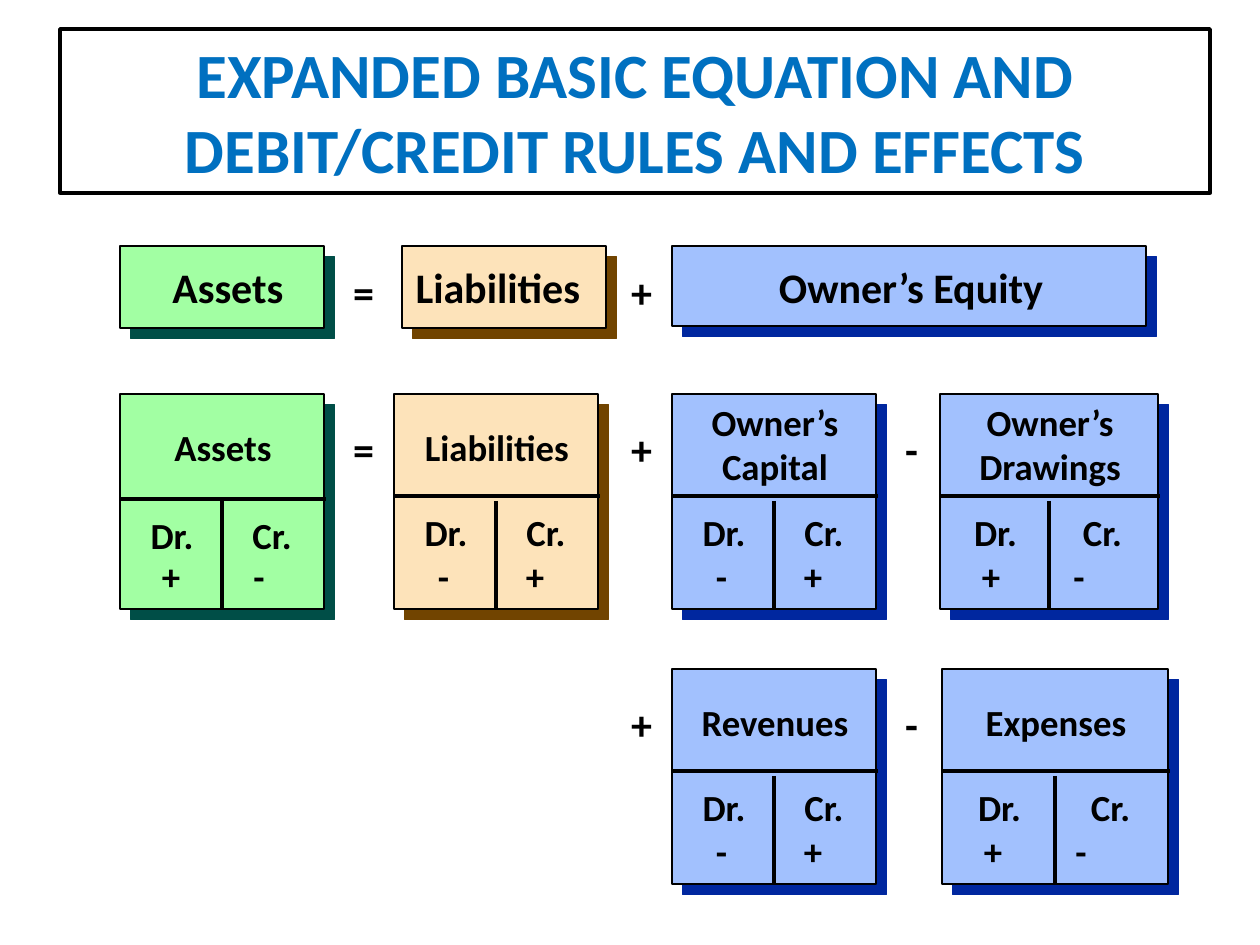
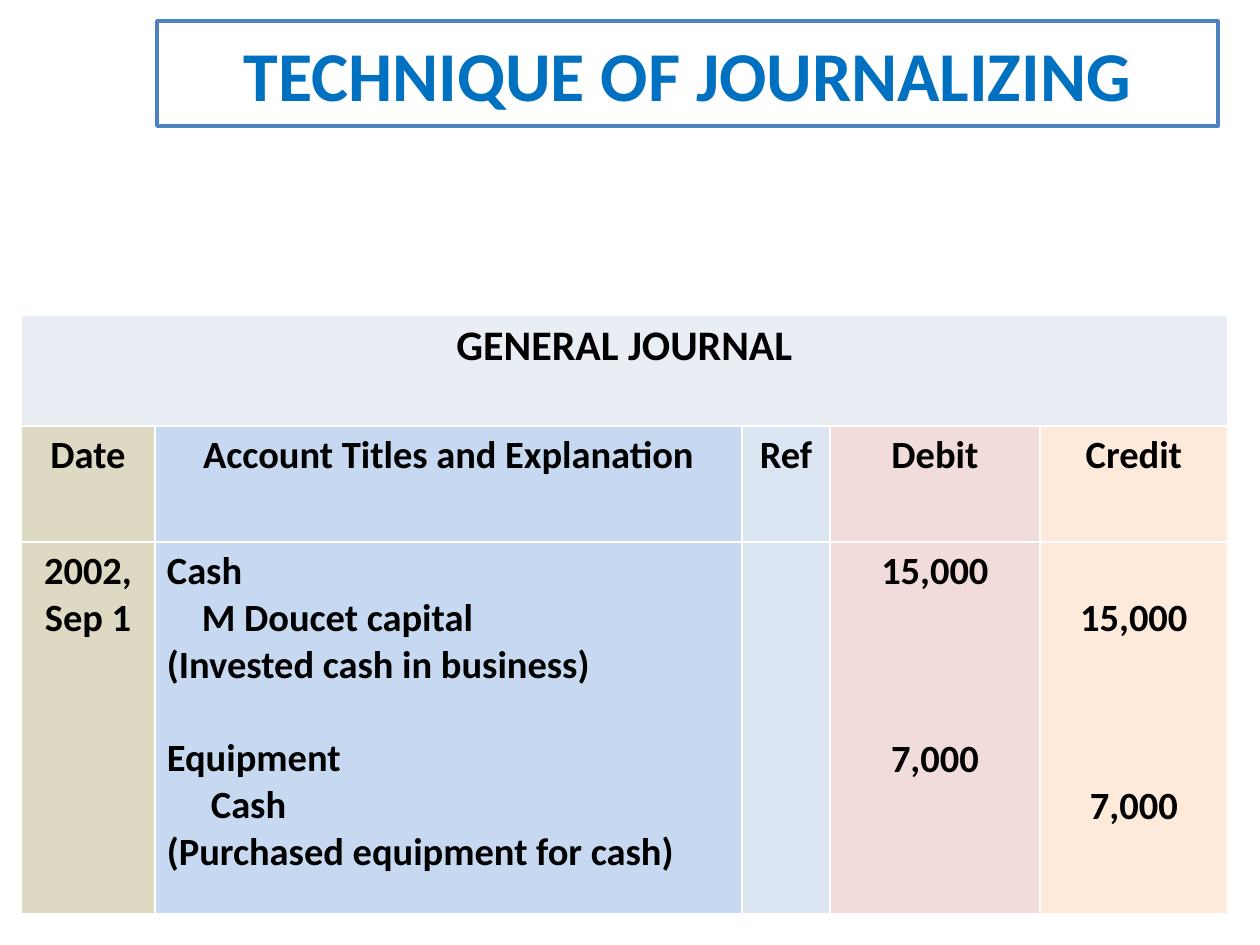
from lxml.etree import SubElement
from pptx import Presentation
from pptx.dml.color import RGBColor
from pptx.enum.shapes import MSO_CONNECTOR, MSO_SHAPE
from pptx.enum.text import MSO_ANCHOR, PP_ALIGN
from pptx.oxml.ns import qn
from pptx.util import Emu, Pt

SCALE = 914400 / 126
FONT = "Calibri"
LINE = 47  # height of one journal line
COLORS = {
    "ink": "000000", "paper": "FFFFFF", "title": "0070C0", "frame": "4F81BD",
    "green": "A2FFA3", "green_dark": "004E47",
    "sand": "FDE3BA", "sand_dark": "714400",
    "blue": "A2C1FE", "blue_dark": "00279F",
    "head": "E9EDF4", "date": "DDD9C3", "entry": "C6D9F1",
    "ref": "DCE6F2", "debit": "F2DCDB", "credit": "FDEADA",
}


def px(n):
    return Emu(round(n * SCALE))


def rgb(name):
    return RGBColor.from_string(COLORS[name])


def add_run(para, text, size, color="ink", align=PP_ALIGN.CENTER):
    para.alignment = align
    run = para.add_run()
    run.text = text
    font = run.font
    font.name, font.size, font.bold = FONT, Pt(size), True
    font.color.rgb = rgb(color)


def set_frame(frame, anchor=MSO_ANCHOR.TOP):
    frame.word_wrap = True
    frame.vertical_anchor = anchor
    frame.margin_left = frame.margin_right = px(12)
    frame.margin_top = frame.margin_bottom = px(6)


def add_label(slide, box, text, size):
    frame = slide.shapes.add_textbox(*map(px, box)).text_frame
    set_frame(frame)
    add_run(frame.paragraphs[0], text, size)


def add_panel(slide, box, fill, line="ink", width=1, shade=None):
    shape = slide.shapes.add_shape(MSO_SHAPE.RECTANGLE, *map(px, box))
    shape.fill.solid()
    shape.fill.fore_color.rgb = rgb(fill)
    shape.line.color.rgb = rgb(line)
    shape.line.width = Pt(width)
    shape.shadow.inherit = False
    if shade:
        effects = shape._element.spPr.find(qn("a:effectLst"))
        cast = SubElement(effects, qn("a:outerShdw"), dist=str(Pt(8.5)),
                          dir="2700000", algn="ctr", rotWithShape="0")
        SubElement(cast, qn("a:srgbClr"), val=COLORS[shade])
    return shape


def add_rule(slide, x1, y1, x2, y2):
    rule = slide.shapes.add_connector(MSO_CONNECTOR.STRAIGHT,
                                      *map(px, (x1, y1, x2, y2)))
    rule.line.color.rgb = rgb("ink")
    rule.line.width = Pt(2)
    SubElement(rule._element.spPr, qn("a:effectLst"))


def add_title(slide, box, text, size, line):
    frame = add_panel(slide, box, "paper", line, 2).text_frame
    set_frame(frame, MSO_ANCHOR.MIDDLE)
    add_run(frame.paragraphs[0], text, size, "title")


def add_term(slide, box, name, hue, shift):
    """One term of the short equation."""
    x, y, w, h = box
    add_panel(slide, box, hue, shade=hue + "_dark")
    add_label(slide, (x + shift, y + 10, w, 63), name, 24)


def add_signs(slide, x, y, signs):
    """Debit and credit signs, the second centred on a tab stop."""
    box = slide.shapes.add_textbox(*map(px, (x, y, 150, 57)))
    set_frame(box.text_frame)
    para = box.text_frame.paragraphs[0]
    tabs = SubElement(para._p.get_or_add_pPr(), qn("a:tabLst"))
    SubElement(tabs, qn("a:tab"), pos=str(px(97)), algn="ctr")
    add_run(para, "\t".join(signs), 21, align=PP_ALIGN.LEFT)


def add_account(slide, box, name, hue, signs, drop=0):
    """A T-account: name above, debit and credit sides below."""
    x, y, w, h = box
    half = w // 2
    add_panel(slide, box, hue, shade=hue + "_dark")
    lift = 0 if " " in name else 25
    add_label(slide, (x + 1, y + lift, w, 103 - lift), name, 21)
    bar = y + 102 + drop
    add_rule(slide, x + 1, bar, x + w + 2, bar)
    add_rule(slide, x + half, y + 107, x + half, y + h - 1)
    for left, side in ((5, "Dr."), (half + 3, "Cr.")):
        add_label(slide, (x + left, bar + 8, half - 8, 57), side, 21)
    add_signs(slide, x + (32 if signs[0] == "-" else 30), y + 154, signs)


def add_equation(slide):
    add_title(slide, (60, 29, 1150, 164),
              "EXPANDED BASIC EQUATION AND DEBIT/CREDIT RULES AND EFFECTS",
              36, "ink")
    # Short equation
    for x, w, h, name, hue, shift in (
            (120, 204, 82, "Assets", "green", 6),
            (402, 204, 82, "Liabilities", "sand", -6),
            (672, 474, 80, "Owner’s Equity", "blue", 2)):
        add_term(slide, (x, 246, w, h), name, hue, shift)
    # Expanded equation
    for x, y, w, name, hue, signs, drop in (
            (120, 394, 204, "Assets", "green", "+-", 3),
            (394, 394, 204, "Liabilities", "sand", "-+", 0),
            (672, 394, 204, "Owner’s Capital", "blue", "-+", 0),
            (940, 394, 218, "Owner’s Drawings", "blue", "+-", 0),
            (672, 669, 204, "Revenues", "blue", "-+", 0),
            (942, 669, 226, "Expenses", "blue", "+-", 0)):
        add_account(slide, (x, y, w, 215), name, hue, signs, drop)
    # Operators between the boxes
    spots = {"=": 334, "+": 612, "-": 882}
    for y, signs in ((261, "=+"), (418, "=+-"), (693, "+-")):
        for sign in signs:
            add_label(slide, (spots[sign], y, 59, 63), sign, 24)


def set_cell(cell, fill):
    edges = cell._tc.get_or_add_tcPr()
    for side in "LRTB":
        edge = SubElement(edges, qn("a:ln" + side), w=str(Pt(1)))
        paint = SubElement(edge, qn("a:solidFill"))
        SubElement(paint, qn("a:srgbClr"), val=COLORS["paper"])
    cell.fill.solid()
    cell.fill.fore_color.rgb = rgb(fill)
    cell.margin_left = cell.margin_right = px(12)
    cell.margin_top = cell.margin_bottom = px(6)


def fill_cell(cell, lines, align=PP_ALIGN.CENTER, size=22):
    """Each line is (text, blank lines above, indent)."""
    frame = cell.text_frame
    for i, (text, gap, indent) in enumerate(lines):
        para = frame.add_paragraph() if i else frame.paragraphs[0]
        if indent:
            para._p.get_or_add_pPr().set("marL", str(px(indent)))
        if gap and i:
            para.space_before = px(gap * LINE)
        elif gap:
            cell.margin_top = px(6 + gap * LINE)
        add_run(para, text, size, align=align)


def add_journal(slide, x, y):
    widths, heights = (134, 587, 88, 210, 188), (111, 116, 372)
    table = slide.shapes.add_table(
        3, 5, *map(px, (x, y, sum(widths), sum(heights)))).table
    table.first_row = table.horz_banding = False
    for col, width in zip(table.columns, widths):
        col.width = px(width)
    for row, height in zip(table.rows, heights):
        row.height = px(height)
    # Fills and borders
    hues = ("date", "entry", "ref", "debit", "credit")
    for r in range(3):
        for c, hue in enumerate(hues):
            set_cell(table.cell(r, c), hue if r else "head")
    # Headings
    top = table.cell(0, 0)
    top.merge(table.cell(0, 4))
    fill_cell(top, [("GENERAL JOURNAL", 0, 0)], size=24)
    heads = ("Date", "Account Titles and Explanation", "Ref", "Debit", "Credit")
    for c, head in enumerate(heads):
        fill_cell(table.cell(1, c), [(head, 0, 0)])
    # Entries
    fill_cell(table.cell(2, 0), [("2002, Sep 1", 0, 0)])
    fill_cell(table.cell(2, 1), [
        ("Cash", 0, 0), ("M Doucet capital", 0, 35),
        ("(Invested cash in business)", 0, 0),
        ("Equipment", 1, 0), ("Cash", 0, 44),
        ("(Purchased equipment for cash)", 0, 0)], PP_ALIGN.LEFT)
    fill_cell(table.cell(2, 3), [("15,000", 0, 0), ("7,000", 3, 0)])
    fill_cell(table.cell(2, 4), [("15,000", 1, 0), ("7,000", 3, 0)])


def main():
    deck = Presentation()
    deck.slide_width, deck.slide_height = px(1260), px(945)
    blank = deck.slide_layouts[6]
    add_equation(deck.slides.add_slide(blank))
    slide = deck.slides.add_slide(blank)
    add_title(slide, (157, 21, 1061, 105), "TECHNIQUE OF JOURNALIZING",
              40, "frame")
    add_journal(slide, 21, 315)
    deck.save("out.pptx")


if __name__ == "__main__":
    main()
